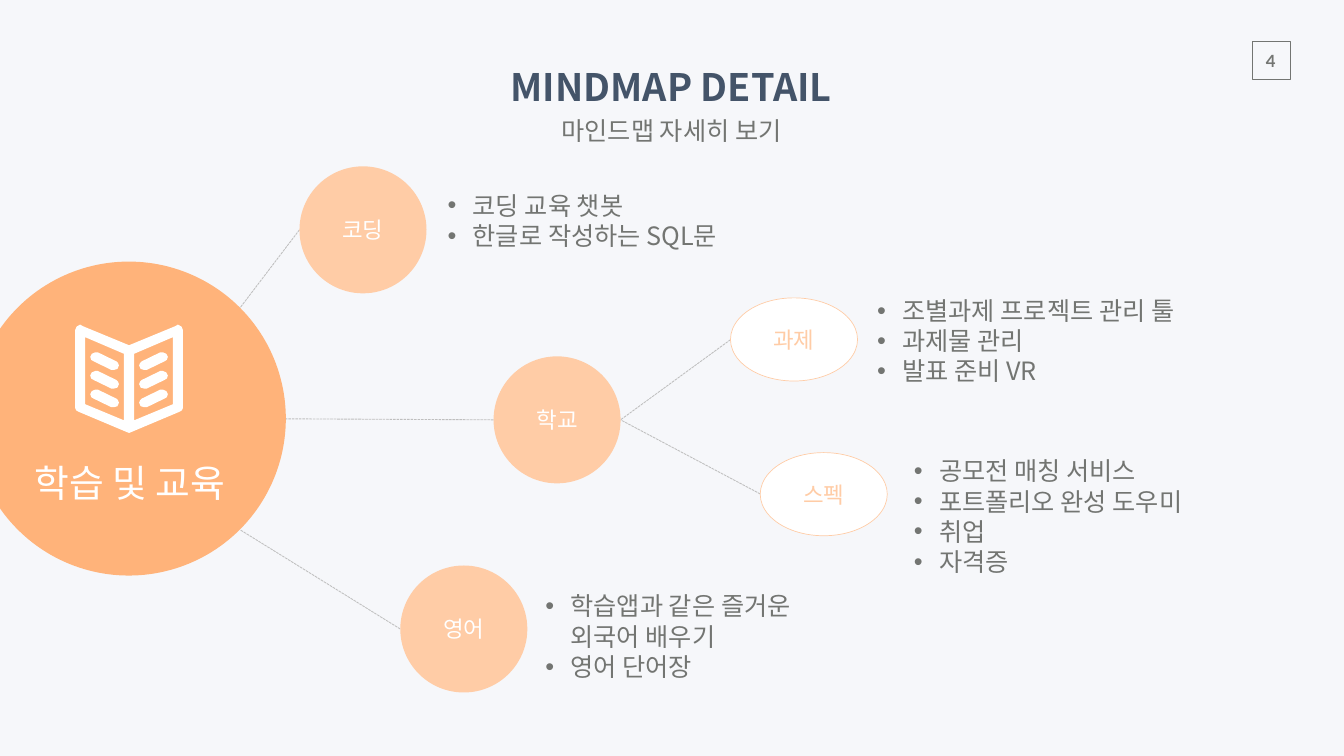
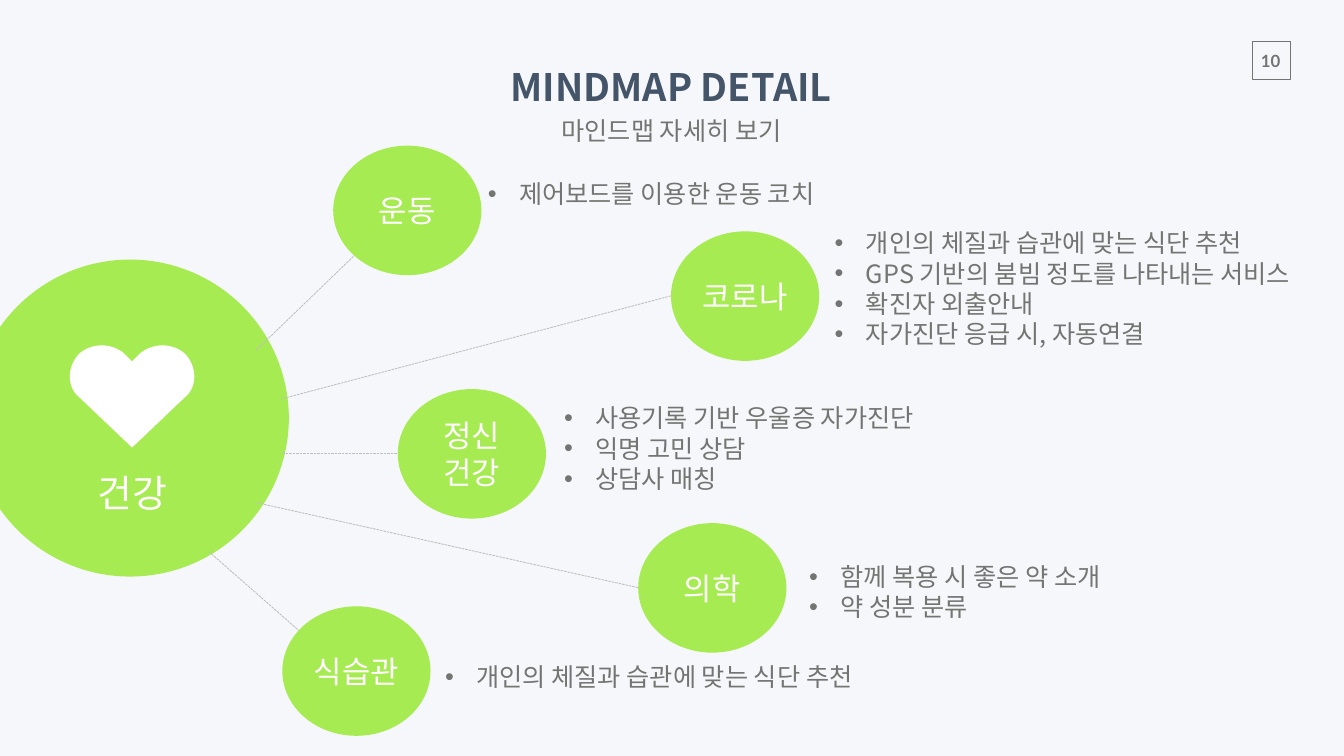
from lxml import etree
from pptx import Presentation
from pptx.dml.color import RGBColor
from pptx.enum.dml import MSO_LINE
from pptx.enum.shapes import MSO_CONNECTOR, MSO_SHAPE
from pptx.enum.text import MSO_ANCHOR, MSO_AUTO_SIZE, PP_ALIGN
from pptx.oxml.ns import qn
from pptx.util import Inches, Pt

LEFT, CENTER = PP_ALIGN.LEFT, PP_ALIGN.CENTER
TOP, MIDDLE = MSO_ANCHOR.TOP, MSO_ANCHOR.MIDDLE
GROW = MSO_AUTO_SIZE.SHAPE_TO_FIT_TEXT
OVAL, RECT = MSO_SHAPE.OVAL, MSO_SHAPE.RECTANGLE
STRAIGHT, DASH = MSO_CONNECTOR.STRAIGHT, MSO_LINE.SQUARE_DOT

# Shared style
FONT, NUMBER_FONT = "Noto Sans CJK KR", "Lato"
PAPER, NAVY, GRAY, RULE, WHITE = "F6F7FA", "445469", "737572", "BFBFBF", "FFFFFF"
ORANGE, PEACH, GREEN = "FFB37A", "FFCCA6", "A7EB52"
WIDE_INSETS = (0.27, 0.13)
TITLE, SUBTITLE = "MINDMAP DETAIL", "마인드맵 자세히 보기"


def rgb(value):
    return RGBColor.from_string(value)


def write(tf, lines, size=36, color=GRAY, bold=False, font=FONT, align=CENTER,
          anchor=MIDDLE, insets=(0.1, 0.05), wrap=False, grow=True,
          indent=0, level=0):
    """Fill a text frame, one paragraph a line; an indent makes bullets."""
    tf.word_wrap = wrap
    if grow:
        tf.auto_size = GROW
    tf.vertical_anchor = anchor
    tf.margin_left = tf.margin_right = Inches(insets[0])
    tf.margin_top = tf.margin_bottom = Inches(insets[1])
    for i, line in enumerate(lines):
        p = tf.paragraphs[0] if i == 0 else tf.add_paragraph()
        p.alignment = align
        p.level = level
        if indent:
            pPr = p._p.get_or_add_pPr()
            pPr.set("marL", str(Inches(indent + level)))
            pPr.set("indent", str(-Inches(indent)))
            etree.SubElement(pPr, qn("a:buFont")).set("typeface", "Arial")
            etree.SubElement(pPr, qn("a:buChar")).set("char", "•")
        r = p.add_run()
        r.text = line
        r.font.size = Pt(size)
        r.font.bold = bold
        r.font.name = font
        r.font.color.rgb = rgb(color)
        etree.SubElement(r._r.get_or_add_rPr(), qn("a:ea")).set("typeface", font)


def box(x, y, w, h):
    return Inches(x), Inches(y), Inches(w), Inches(h)


def bezier(a, b, c, d, steps=16):
    """Points on a cubic curve, without its first one."""
    points = []
    for i in range(1, steps + 1):
        t = i / steps
        u = 1 - t
        points.append(tuple(
            u**3 * a[k] + 3 * u * u * t * b[k] + 3 * u * t * t * c[k] + t**3 * d[k]
            for k in (0, 1)))
    return points


def mirror(points, axis):
    return [(2 * axis - x, y) for x, y in points]


def book():
    """Contours of an open book: cover, two pages, three text bars on each."""
    axis = 2.56
    half = [(2.56, 8.59), (2.61, 8.57), (3.56, 8.17), (3.61, 8.14), (3.63, 8.09),
            (3.63, 6.55), (3.6, 6.48), (3.53, 6.44), (3.48, 6.47), (2.56, 6.85)]
    page = [(3.43, 6.69), (2.66, 7.02), (2.66, 8.34), (3.43, 8.02)]
    bar = [(2.81, 7.17), (3.18, 6.99), (3.23, 6.99), (3.3, 7.02), (3.33, 7.08),
           (3.31, 7.14), (3.26, 7.17), (2.91, 7.34), (2.86, 7.34), (2.79, 7.32),
           (2.76, 7.25), (2.78, 7.2)]
    right = [page] + [[(x, y + row * 0.37) for x, y in bar] for row in range(3)]
    cover = half + mirror(half, axis)[::-1]
    return [cover] + right + [mirror(c, axis) for c in right]


def heart():
    """Contour of a heart, from the notch down and back round the right lobe."""
    axis = 2.62
    notch, shoulder, hip, tip = (2.62, 7.17), (3.66, 7.01), (3.66, 7.89), (2.62, 8.88)
    lobe = [notch, (2.78, 7.01)]
    lobe += bezier(lobe[-1], (3.04, 6.8), (3.41, 6.8), shoulder)
    lobe += bezier(shoulder, (3.92, 7.27), (3.92, 7.69), hip)
    lobe.append(tip)
    return [lobe + mirror(lobe, axis)[::-1]]


class Deck:
    """The style of the slides and the slide in work."""

    def __init__(self):
        self.prs = Presentation()
        self.prs.slide_width, self.prs.slide_height = Inches(26.66), Inches(15)
        fill = self.prs.slide_master.background.fill
        fill.solid()
        fill.fore_color.rgb = rgb(PAPER)
        self.s = None

    def slide(self, number):
        """Start a slide with its title, subtitle and page number."""
        self.s = self.prs.slides.add_slide(self.prs.slide_layouts[5])
        title = self.s.shapes.title
        title.left, title.top, title.width, title.height = box(9.86, 1.12, 6.91, 1.18)
        write(title.text_frame, [TITLE], size=54, color=NAVY, bold=True,
              insets=WIDE_INSETS)
        self.text((10.77, 2.15, 5.1, 0.88), [SUBTITLE], insets=WIDE_INSETS)
        self.shape(RECT, (24.84, 0.82, 0.75, 0.75), line=GRAY)
        self.text((24.8, 0.9, 0.81, 0.61), [number], size=24, bold=True,
                  font=NUMBER_FONT, anchor=TOP, insets=(0.2, 0.1))

    def paint(self, sp, fill=None, line=None):
        sp.shadow.inherit = False
        if fill:
            sp.fill.solid()
            sp.fill.fore_color.rgb = rgb(fill)
        else:
            sp.fill.background()
        if line:
            sp.line.color.rgb = rgb(line)
            sp.line.width = Pt(1)
        else:
            sp.line.fill.background()

    def shape(self, kind, at, fill=None, line=None, parent=None):
        sp = (parent or self.s).shapes.add_shape(kind, *box(*at))
        self.paint(sp, fill, line)
        return sp

    def text(self, at, lines, parent=None, **style):
        sp = (parent or self.s).shapes.add_textbox(*box(*at))
        write(sp.text_frame, lines, **style)

    def bullets(self, at, lines, indent, **style):
        self.text(at, lines, indent=indent, align=LEFT, anchor=TOP, **style)

    def icon(self, contours, parent):
        contours = [[(Inches(x), Inches(y)) for x, y in c] for c in contours]
        builder = parent.shapes.build_freeform(*contours[0][0])
        for i, points in enumerate(contours):
            if i:
                builder.move_to(*points[0])
            builder.add_line_segments(points[1:], close=True)
        self.paint(builder.convert_to_shape(), WHITE)

    def hub(self, at, color, label, label_at, contours, wrap=False):
        """The large circle at the left, grouped with its icon and name."""
        group = self.s.shapes.add_group_shape()
        self.shape(OVAL, at, color, parent=group)
        self.text(label_at, [label], parent=group, size=54, color=WHITE,
                  insets=WIDE_INSETS, wrap=wrap)
        self.icon(contours, group)

    def branch(self, start, end):
        line = self.s.shapes.add_connector(
            STRAIGHT, *(Inches(v) for v in (*start, *end)))
        line.line.color.rgb = rgb(RULE)
        line.line.width = Pt(1.25)
        line.line.dash_style = DASH
        etree.SubElement(line._element.spPr, qn("a:effectLst"))

    def labelled_node(self, x, y, h, label, fill, color, line=None):
        """An ellipse with a label box centred on it."""
        w, label_w, label_h = 2.52, 1.44, 0.81
        self.shape(OVAL, (x, y, w, h), fill, line)
        self.text((x + (w - label_w) / 2, y + (h - label_h) / 2, label_w, label_h),
                  [label], size=32, color=color, insets=WIDE_INSETS)

    def node(self, x, y, lines):
        """An ellipse that holds its own text."""
        sp = self.shape(OVAL, (x, y, 2.94, 2.57), GREEN)
        write(sp.text_frame, lines, size=44, color=WHITE, wrap=True, grow=False)


deck = Deck()

# Slide 1: learning and education
deck.slide("4")
deck.hub((-0.56, 5.19, 6.23, 6.23), ORANGE, "학습 및 교육",
         (-0.59, 8.98, 6.33, 1.18), book(), wrap=True)
for start, end in [
    ((9.79, 8.33), (5.67, 8.31)),
    ((5.94, 4.56), (4.76, 6.11)),
    ((7.94, 12.48), (4.76, 10.51)),
    ((14.49, 6.74), (12.31, 8.33)),
    ((15.08, 9.8), (12.31, 8.33)),
]:
    deck.branch(start, end)
for x, y, label in [(9.79, 7.07, "학교"), (5.94, 3.3, "코딩"), (7.94, 11.22, "영어")]:
    deck.labelled_node(x, y, 2.52, label, PEACH, WHITE)
for x, y, label in [(14.49, 5.91, "과제"), (15.08, 8.98, "스펙")]:
    deck.labelled_node(x, y, 1.65, label, WHITE, PEACH, line=PEACH)
for at, lines, wrap in [
    ((10.72, 11.67, 6.2, 1.92), ["학습앱과 같은 즐거운 외국어 배우기", "영어 단어장"], True),
    ((8.78, 3.72, 5.71, 1.31), ["코딩 교육 챗봇", "한글로 작성하는 SQL문"], False),
    ((17.3, 5.81, 6.36, 1.92),
     ["조별과제 프로젝트 관리 툴", "과제물 관리", "발표 준비 VR"], False),
    ((18.03, 8.99, 5.74, 2.52),
     ["공모전 매칭 서비스", "포트폴리오 완성 도우미", "취업", "자격증"], False),
]:
    deck.bullets(at, lines, 0.5, wrap=wrap)

# Slide 2: health
deck.slide("10")
deck.hub((-0.57, 5.15, 6.3, 6.29), GREEN, "건강", (1.64, 9.18, 1.96, 1.18), heart())
for start, end in [
    ((5.95, 12.53), (4.15, 10.95)),
    ((13.31, 5.87), (5.6, 7.91)),
    ((7.06, 5.04), (5.07, 6.96)),
    ((5.6, 9), (7.89, 9)),
    ((12.66, 11.66), (5.07, 9.97)),
]:
    deck.branch(start, end)
for x, y, lines in [
    (6.61, 2.89, ["운동"]),
    (13.31, 4.59, ["코로나"]),
    (5.6, 12.03, ["식습관"]),
    (7.89, 7.72, ["정신", "건강"]),
    (12.66, 10.38, ["의학"]),
]:
    deck.node(x, y, lines)
DIET = "개인의 체질과 습관에 맞는 식단 추천"
for at, lines, wrap, level in [
    ((9.58, 3.49, 6.96, 0.71), ["제어보드를 이용한 운동 코치"], False, 0),
    ((16.46, 4.47, 9.94, 2.52),
     [DIET, "GPS 기반의 붐빔 정도를 나타내는 서비스", "확진자 외출안내",
      "자가진단 응급 시, 자동연결"], True, 0),
    ((8.73, 13.08, 8.67, 0.71), [DIET], False, 0),
    ((14.95, 11.09, 7.77, 1.31), ["함께 복용 시 좋은 약 소개", "약 성분 분류"], True, 1),
    ((11.09, 7.94, 7.77, 1.92),
     ["사용기록 기반 우울증 자가진단", "익명 고민 상담", "상담사 매칭"], True, 0),
]:
    deck.bullets(at, lines, 0.62, wrap=wrap, level=level)

deck.prs.save("out.pptx")
